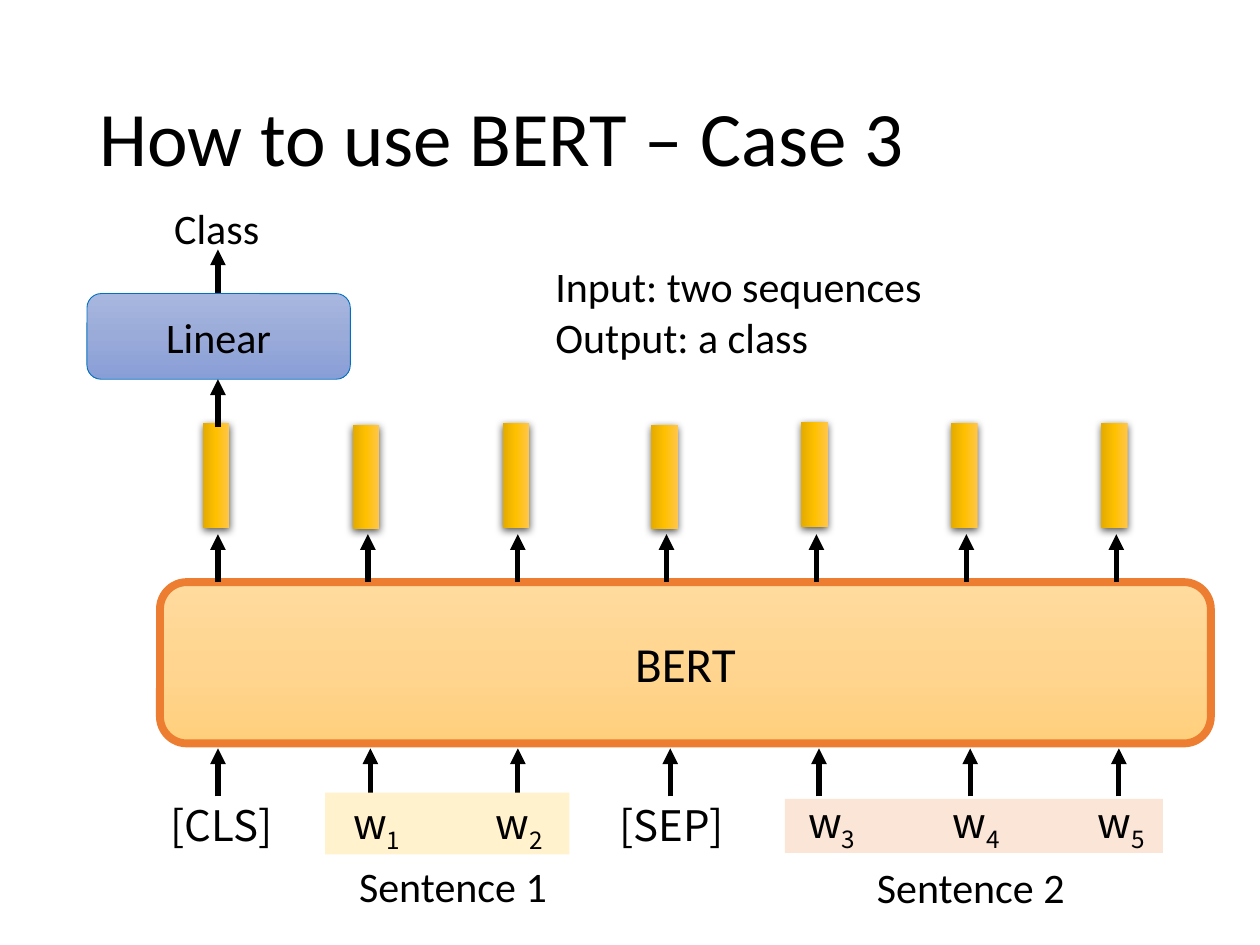
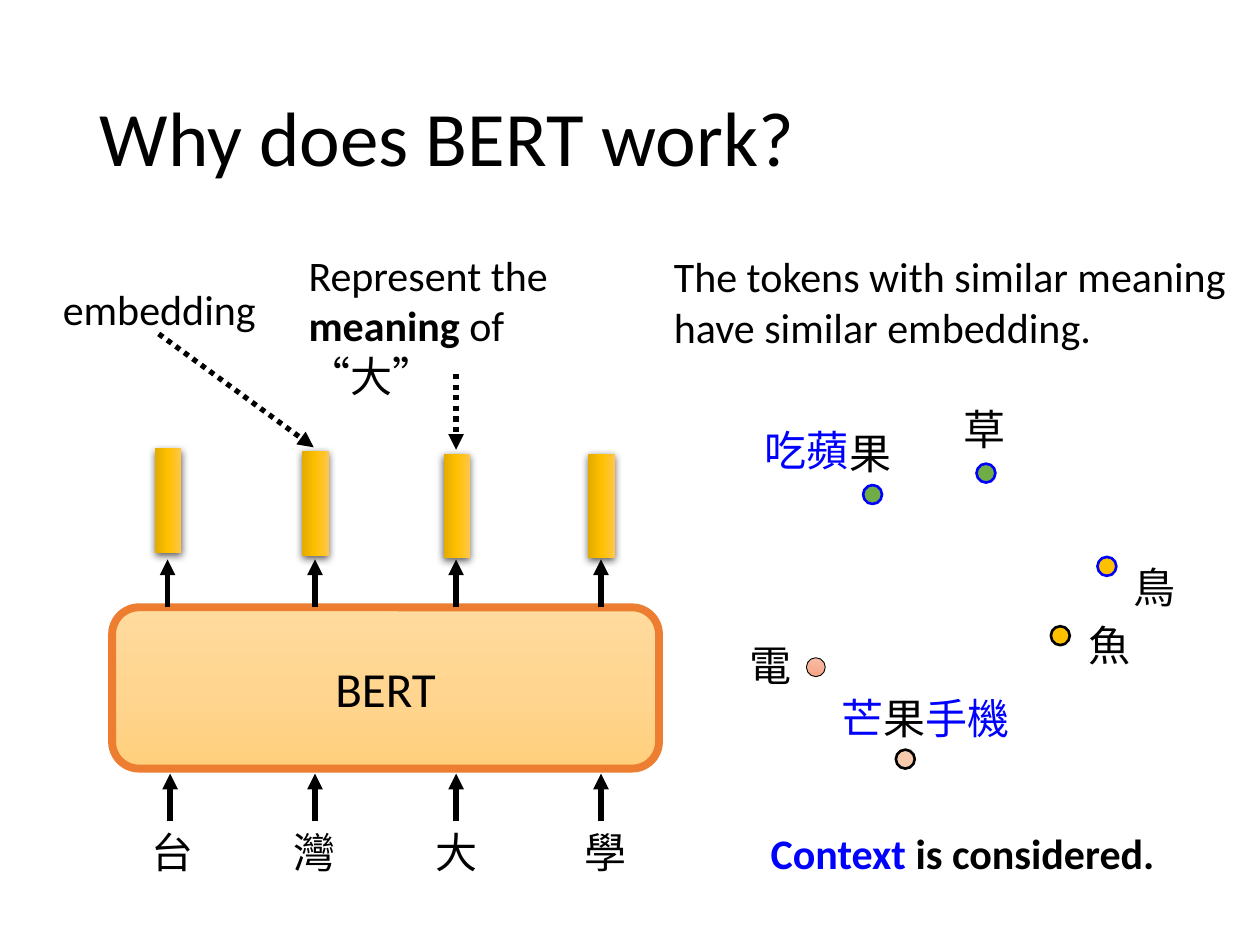
from copy import deepcopy
from dataclasses import dataclass

from lxml import etree
from pptx import Presentation
from pptx import util as u
from pptx.dml.color import RGBColor
from pptx.enum import dml, shapes, text
from pptx.oxml.ns import qn

PX = 9144  # EMU per px, 100 px to the inch


@dataclass(frozen=True)
class Theme:
    black: str = "000000"
    blue: str = "0000FF"
    green: str = "70AD47"
    gold: str = "FFC000"
    peach: str = "F8CBAD"
    sentence_1: str = "FFF2CC"
    sentence_2: str = "FBE5D6"
    model_edge: str = "ED7D31"
    linear_edge: str = "0070C0"
    model_fill: tuple = ("FFDB9E", "FFD590", "FFD07C")
    linear_fill: tuple = ("A8B7DF", "9AABD9", "889ED7")
    bar_fill: tuple = ("FFC64B", "FFC000", "E3AB00")
    salmon_fill: tuple = ("F7BDA5", "F5B196", "F8A582")
    latin: str = "Calibri"
    cjk: str = "Noto Sans CJK SC"
    title_size: int = 44
    model_size: int = 28
    body_size: int = 24


theme = Theme()
LEFT, CENTER, RIGHT = text.PP_ALIGN.LEFT, text.PP_ALIGN.CENTER, text.PP_ALIGN.RIGHT
RECTANGLE = shapes.MSO_SHAPE.RECTANGLE
ROUNDED = shapes.MSO_SHAPE.ROUNDED_RECTANGLE
OVAL = shapes.MSO_SHAPE.OVAL

BODY = {"name": theme.latin, "size": u.Pt(theme.body_size)}
TOKEN = {**BODY, "name": theme.cjk}
MODEL = {**BODY, "size": u.Pt(theme.model_size)}
BOLD = {**BODY, "bold": True}
TITLE = {**BODY, "size": u.Pt(theme.title_size)}


def add_item(slide, box, kind=None, fill=None, edge=None, paragraphs=(),
             style=BODY, align=CENTER, title=False):
    """Place a title, a text box (no kind) or a preset shape.

    A paragraph is a list of (words, style, colour, baseline); only words are required.
    """
    left, top, width, height = (value * PX for value in box)
    if title:
        shape = slide.shapes.title
        shape.left, shape.top, shape.width, shape.height = left, top, width, height
    elif kind is None:
        shape = slide.shapes.add_textbox(left, top, width, height)
    else:
        shape = slide.shapes.add_shape(kind, left, top, width, height)
        shape.shadow.inherit = False
        if isinstance(fill, tuple):
            shape.fill.gradient()
            shape.fill.gradient_angle = 270
            stop_list = shape._element.spPr.find(".//" + qn("a:gsLst"))
            stop_list.insert(1, deepcopy(stop_list[0]))
            for stop, position, colour in zip(shape.fill.gradient_stops, (0, 0.5, 1), fill):
                stop.position = position
                stop.color.rgb = RGBColor.from_string(colour)
        else:
            shape.fill.solid()
            shape.fill.fore_color.rgb = RGBColor.from_string(fill)
        if edge:
            shape.line.color.rgb = RGBColor.from_string(edge[0])
            shape.line.width = u.Pt(edge[1])
        else:
            shape.line.fill.background()

    if paragraphs:
        frame = shape.text_frame
        frame.word_wrap = True
        frame.auto_size = text.MSO_AUTO_SIZE.NONE
        middle = title or kind is not None
        frame.vertical_anchor = text.MSO_ANCHOR.MIDDLE if middle else text.MSO_ANCHOR.TOP
        for index, runs in enumerate(paragraphs):
            paragraph = frame.add_paragraph() if index else frame.paragraphs[0]
            paragraph.alignment = align
            if title:
                paragraph.line_spacing = 0.9
            for words, run_style, colour, baseline in (
                    (*run, *(style, theme.black, 0)[len(run) - 1:]) for run in runs):
                run = paragraph.add_run()
                run.text = words
                for name, value in run_style.items():
                    setattr(run.font, name, value)
                run.font.color.rgb = RGBColor.from_string(colour)
                properties = run._r.get_or_add_rPr()
                etree.SubElement(properties, qn("a:ea"), typeface=theme.cjk)
                if baseline:
                    properties.set("baseline", str(baseline * 1000))
    return shape


def add_arrow(slide, x1, y1, x2, y2, dash=None):
    arrow = slide.shapes.add_connector(
        shapes.MSO_CONNECTOR.STRAIGHT, x1 * PX, y1 * PX, x2 * PX, y2 * PX)
    arrow.line.color.rgb = RGBColor.from_string(theme.black)
    arrow.line.width = u.Pt(3)
    if dash:
        arrow.line.dash_style = dash
    etree.SubElement(arrow.line._get_or_add_ln(), qn("a:tailEnd"), type="triangle")
    etree.SubElement(arrow._element.spPr, qn("a:effectLst"))


presentation = Presentation()
presentation.slide_width = 1000 * PX
presentation.slide_height = 750 * PX

# What both slides share: title, model block, input arrows, output bars
slides = []
for heading, model_box, inputs, outputs, bar_tops, bar_shift in (
    ("How to use BERT – Case 3", (127, 462, 834, 128),
     (173, 294, 411, 532, 650, 770, 888),
     [round(173 + 118.8 * column) for column in range(7)],
     (367, 368, 367, 368, 366, 367, 367), 43),
    ("Why does BERT work?", (89, 482, 434, 128),
     (135, 250, 362, 477), (133, 250, 362, 477), (387, 389, 391, 391), 41),
):
    slide = presentation.slides.add_slide(presentation.slide_layouts[5])
    slides.append(slide)
    add_item(slide, (69, 40, 862, 145), paragraphs=[[(heading,)]],
             style=TITLE, align=LEFT, title=True)
    add_item(slide, model_box, ROUNDED, theme.model_fill, (theme.model_edge, 4.5),
             [[("BERT",)]], MODEL)
    model_top = model_box[1]
    model_bottom = model_top + model_box[3]
    for x in inputs:
        add_arrow(slide, x, model_bottom + 42, x, model_bottom + 4)
    for x, bar_top in zip(outputs, bar_tops):
        add_arrow(slide, x, model_top, x, model_top - 38)
        bar = add_item(slide, (x - bar_shift, bar_top, 83, 21), RECTANGLE, theme.bar_fill)
        bar.rotation = 90
        effects = bar._element.spPr.find(qn("a:effectLst"))
        shadow = etree.SubElement(effects, qn("a:outerShdw"), blurRad="57150",
                                  dist="19050", dir="5400000", algn="ctr", rotWithShape="0")
        shadow_colour = etree.SubElement(shadow, qn("a:srgbClr"), val=theme.black)
        etree.SubElement(shadow_colour, qn("a:alpha"), val="63000")

case_slide, reason_slide = slides

# Case 3: classifier on the first output
add_arrow(case_slide, 173, 236, 173, 198)
add_item(case_slide, (69, 233, 209, 68), ROUNDED, theme.linear_fill,
         (theme.linear_edge, 0.5), [[("Linear",)]])
add_arrow(case_slide, 173, 339, 173, 301)

# Case 3: input tokens on their sentence bands
add_item(case_slide, (258, 629, 194, 49), RECTANGLE, theme.sentence_1)
add_item(case_slide, (623, 634, 300, 43), RECTANGLE, theme.sentence_2)
for left, top, word, index in (
    (115, 630, "[CLS]", ""), (238, 628, "w", "1"), (351, 628, "w", "2"),
    (472, 630, "[SEP]", ""), (599, 627, "w", "3"), (714, 627, "w", "4"),
    (829, 627, "w", "5"),
):
    runs = [(word,)]
    if index:
        runs.append((index, TOKEN, theme.black, -25))
    add_item(case_slide, (left, top, 122, 50), paragraphs=[runs], style=TOKEN)

# Case 3: labels
for box, words in (((121, 156, 102, 51), "Class"),
                   ((264, 678, 191, 50), "Sentence 1"),
                   ((675, 679, 191, 50), "Sentence 2")):
    add_item(case_slide, box, paragraphs=[[(words,)]])
add_item(case_slide, (431, 202, 500, 91), align=LEFT,
         paragraphs=[[("Input: two sequences",)], [("Output: a class",)]])

# Why it works: input characters
for left, character in zip((79, 192, 305, 423), "台灣大學"):
    add_item(reason_slide, (left, 651, 115, 50), paragraphs=[[(character,)]], style=TOKEN)

# Why it works: explanations and their dotted pointers
for start_and_end in ((362, 297, 362, 357), (126, 265, 249, 355)):
    add_arrow(reason_slide, *start_and_end, dash=dml.MSO_LINE.ROUND_DOT)
for box, runs, align in (
    ((235, 193, 265, 91), [("Represent the ",), ("meaning", BOLD), (" of “",),
                           ("大", TOKEN), ("”",)], LEFT),
    ((40, 220, 265, 50), [("embedding",)], LEFT),
    ((525, 194, 467, 91),
     [("The tokens with similar meaning have similar embedding.",)], LEFT),
    ((595, 652, 338, 50), [("Context", BOLD, theme.blue), (" is considered.", BOLD)], CENTER),
):
    add_item(reason_slide, box, paragraphs=[runs], align=align)

# Why it works: embedding space
for left, top, fill, edge_colour, edge_width in (
    (775, 368, theme.green, theme.blue, 1.5),
    (685, 385, theme.green, theme.blue, 1.5),
    (871, 442, theme.gold, theme.blue, 1.5),
    (834, 497, theme.gold, theme.black, 1.5),
    (640, 522, theme.salmon_fill, theme.black, 0.5),
    (711, 595, theme.peach, theme.black, 1.5),
):
    add_item(reason_slide, (left, top, 15, 15), OVAL, fill, (edge_colour, edge_width))
for box, runs, align in (
    ((854, 487, 79, 91), [("魚",)], LEFT),
    ((890, 441, 128, 50), [("鳥",)], LEFT),
    ((727, 315, 108, 50), [("草",)], CENTER),
    ((585, 503, 79, 50), [("電",)], LEFT),
    ((592, 332, 91, 50), [("吃蘋", TOKEN, theme.blue)], RIGHT),
    ((664, 334, 62, 50), [("果",)], LEFT),
    ((658, 545, 207, 50), [("芒", TOKEN, theme.blue), ("果",),
                           ("手機", TOKEN, theme.blue)], LEFT),
):
    add_item(reason_slide, box, paragraphs=[runs], style=TOKEN, align=align)

presentation.save("out.pptx")
